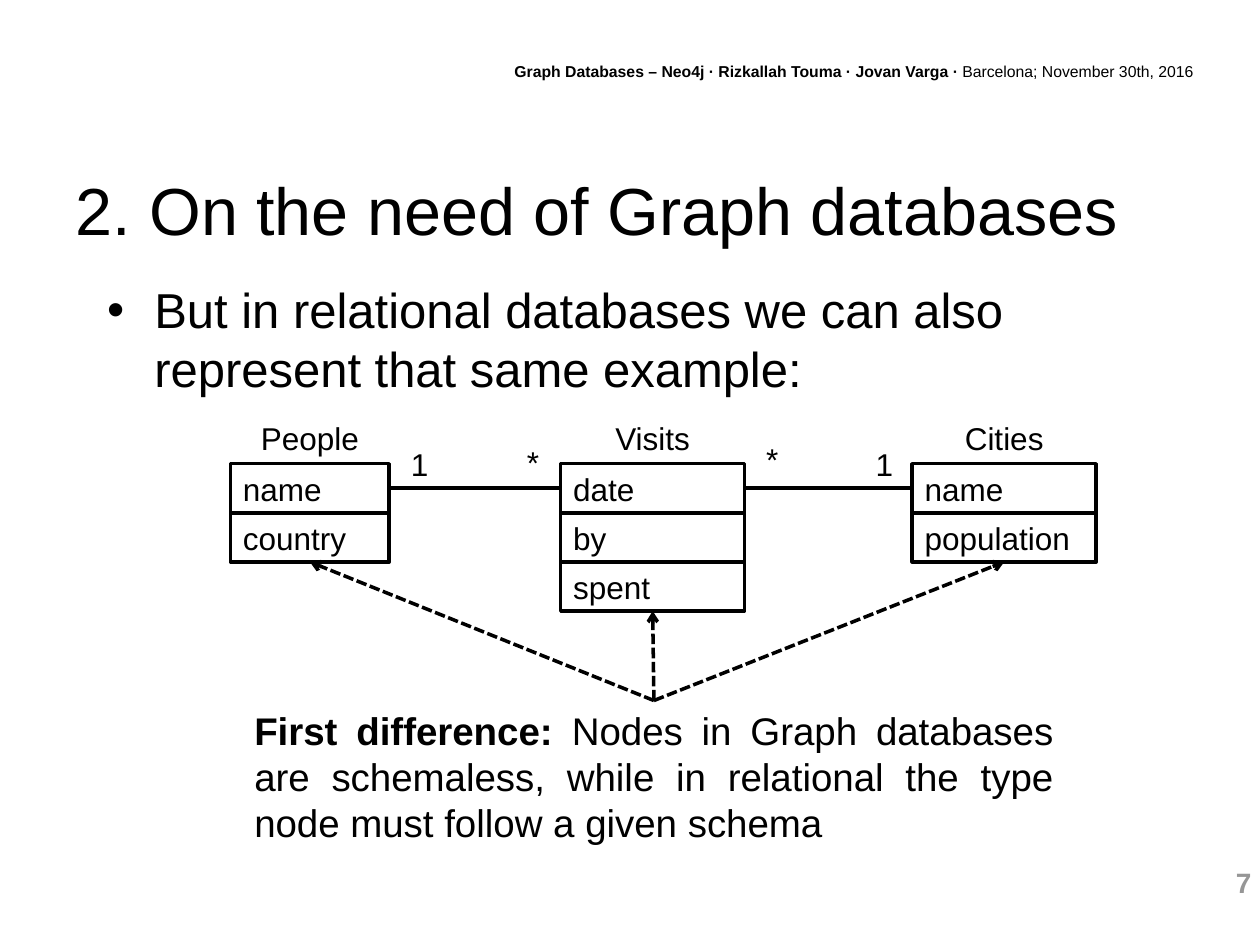
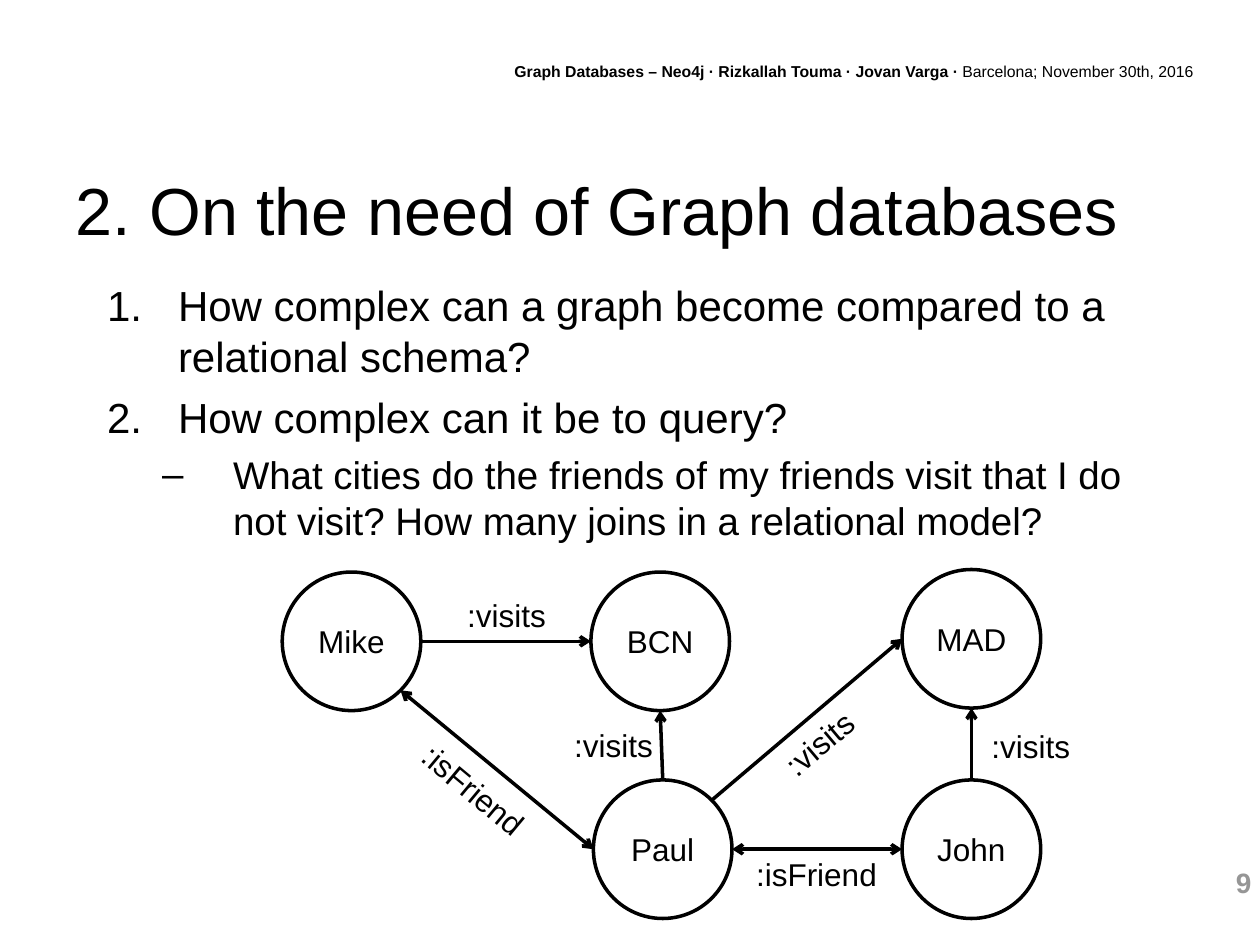
from dataclasses import dataclass
from math import cos, radians, sin

from lxml.etree import SubElement
from pptx import Presentation
from pptx.dml.color import RGBColor
from pptx.enum.dml import MSO_LINE
from pptx.enum.shapes import MSO_CONNECTOR as Connector, MSO_SHAPE as Preset
from pptx.enum.text import MSO_ANCHOR as Anchor, MSO_AUTO_SIZE as AutoSize, PP_ALIGN as Align
from pptx.oxml.ns import qn
from pptx.util import Inches, Pt

COLUMNS, ROWS = 100, 75
DECK_TITLE = "2. On the need of Graph databases"
HEADER = ("Graph Databases – Neo4j · Rizkallah Touma · Jovan Varga · ",
          "Barcelona; November 30th, 2016")


@dataclass(frozen=True)
class Theme:
    font: str = "Arial"
    ink: RGBColor = RGBColor(0, 0, 0)
    paper: RGBColor = RGBColor(255, 255, 255)
    muted: RGBColor = RGBColor(0x96, 0x96, 0x96)
    title: int = 38
    lead: int = 28
    item: int = 24
    note: int = 22
    label: int = 18
    number: int = 16
    header: int = 9
    line: int = 2


@dataclass(frozen=True)
class ListItem:
    text: str
    size: int
    marker: str
    indent: float
    hanging: float
    level: int = 0
    space_before: float = 0


@dataclass(frozen=True)
class Node:
    """A circle, placed by its centre in columns and rows."""
    name: str
    x: float
    y: float
    radius: float = 5.5

    def point(self, angle):
        """Point on the rim, with angles in degrees clockwise from the right."""
        turn = radians(angle)
        return self.x + self.radius * cos(turn), self.y + self.radius * sin(turn)


class Deck:
    def __init__(self, theme):
        self.theme = theme
        self.presentation = Presentation()
        self.presentation.slide_width = Inches(10)
        self.presentation.slide_height = Inches(7.5)
        self.slide = None

    def across(self, columns):
        return round(self.presentation.slide_width * columns / COLUMNS)

    def down(self, rows):
        return round(self.presentation.slide_height * rows / ROWS)

    def box(self, left, top, width, height):
        return self.across(left), self.down(top), self.across(width), self.down(height)

    def style_font(self, font, size, bold=False, color=None):
        font.name = self.theme.font
        font.size = Pt(size)
        font.bold = bold
        font.color.rgb = color or self.theme.ink

    def fill_paragraph(self, paragraph, text, size, align=Align.LEFT, bold=False, color=None):
        paragraph.text = text
        paragraph.alignment = align
        for run in paragraph.runs:
            self.style_font(run.font, size, bold, color)

    def start_slide(self, number):
        self.slide = self.presentation.slides.add_slide(self.presentation.slide_layouts[1])
        self.text(str(number), (87.6, 68.2, 12.7, 3.7), self.theme.number,
                  Align.RIGHT, bold=True, color=self.theme.muted)
        bold_part, plain_part = HEADER
        self.text(bold_part, (38.2, 4.4, 57.5, 2.5), self.theme.header,
                  Align.RIGHT, bold=True, plain=plain_part)
        frame = self.place(self.slide.shapes.title, (5, 12.3, 90, 8.6), Anchor.MIDDLE)
        self.fill_paragraph(frame.paragraphs[0], DECK_TITLE, self.theme.title)

    def place(self, placeholder, area, anchor):
        placeholder.left, placeholder.top, placeholder.width, placeholder.height = self.box(*area)
        frame = placeholder.text_frame
        frame.auto_size = AutoSize.NONE
        frame.word_wrap = True
        frame.vertical_anchor = anchor
        return frame

    def bullets(self, items, height):
        frame = self.place(self.slide.placeholders[1], (7.5, 21.7, 87.5, height), Anchor.TOP)
        for position, item in enumerate(items):
            paragraph = frame.paragraphs[0] if position == 0 else frame.add_paragraph()
            paragraph.level = item.level
            self.mark(paragraph, item)
            paragraph.space_before = Pt(item.space_before)
            self.fill_paragraph(paragraph, item.text, item.size)

    def mark(self, paragraph, item):
        """Give a paragraph its indents and its bullet or number."""
        properties = paragraph._p.get_or_add_pPr()
        properties.set("marL", str(self.across(item.indent)))
        properties.set("indent", str(-self.across(item.hanging)))
        color = SubElement(properties, qn("a:buClr"))
        SubElement(color, qn("a:srgbClr"), val=str(self.theme.ink))
        SubElement(properties, qn("a:buFont"), typeface=self.theme.font)
        if item.marker == "1.":
            SubElement(properties, qn("a:buAutoNum"), type="arabicPeriod")
        else:
            SubElement(properties, qn("a:buChar"), char=item.marker)

    def text(self, text, area, size, align=Align.CENTER, bold=False, color=None,
             plain="", rotation=0):
        """Add a text box; plain is a regular run after the main text."""
        shape = self.slide.shapes.add_textbox(*self.box(*area))
        shape.rotation = rotation
        shape.text_frame.word_wrap = True
        paragraph = shape.text_frame.paragraphs[0]
        self.fill_paragraph(paragraph, text, size, align, bold, color)
        if plain:
            run = paragraph.add_run()
            run.text = plain
            self.style_font(run.font, size, color=color)
        return shape

    def label(self, text, left, top, width=13.2, rotation=0):
        self.text(text, (left, top, width, 4), self.theme.label, rotation=rotation)

    def outlined(self, preset, text, area, align, anchor):
        shape = self.slide.shapes.add_shape(preset, *self.box(*area))
        shape.shadow.inherit = False
        shape.fill.solid()
        shape.fill.fore_color.rgb = self.theme.paper
        shape.line.color.rgb = self.theme.ink
        shape.line.width = Pt(self.theme.line)
        shape.text_frame.word_wrap = True
        shape.text_frame.vertical_anchor = anchor
        self.fill_paragraph(shape.text_frame.paragraphs[0], text, self.theme.label, align)
        return shape

    def entity(self, name, fields, left, width):
        """Draw a named relation and return its field rectangles."""
        top, row_height = 36.8, 3.9
        self.label(name, left, top - 4, width)
        return [self.outlined(Preset.RECTANGLE, field,
                              (left, top + index * row_height, width, row_height),
                              Align.LEFT, Anchor.TOP)
                for index, field in enumerate(fields)]

    def node(self, node):
        diameter = 2 * node.radius
        self.outlined(Preset.OVAL, node.name,
                      (node.x - node.radius, node.y - node.radius, diameter, diameter),
                      Align.CENTER, Anchor.MIDDLE)

    def line(self, start=(0, 0), end=(0, 0), arrows=(), dashed=False):
        """Add a straight line; arrows names the ends ("head", "tail") with a tip."""
        connector = self.slide.shapes.add_connector(
            Connector.STRAIGHT, self.across(start[0]), self.down(start[1]),
            self.across(end[0]), self.down(end[1]))
        connector.line.color.rgb = self.theme.ink
        connector.line.width = Pt(self.theme.line)
        if dashed:
            connector.line.dash_style = MSO_LINE.SQUARE_DOT
        properties = connector._element.spPr
        for end_name in arrows:
            SubElement(properties.find(qn("a:ln")), qn(f"a:{end_name}End"), type="arrow")
        SubElement(properties, qn("a:effectLst"))
        return connector

    def join(self, first, first_side, second, second_side, **style):
        connector = self.line(**style)
        connector.begin_connect(first, first_side)
        connector.end_connect(second, second_side)


def add_relational_slide(deck):
    theme = deck.theme
    deck.start_slide(7)
    deck.bullets([ListItem("But in relational databases we can also represent that same example:",
                           theme.lead, "•", 3.75, 3.75)], 11)

    people = deck.entity("People", ["name", "country"], 18.3, 12.6)
    cities = deck.entity("Cities", ["name", "population"], 72.4, 14.6)
    visits = deck.entity("Visits", ["date", "by", "spent"], 44.5, 14.6)
    deck.join(people[0], 3, visits[0], 1)
    deck.join(visits[0], 3, cities[0], 1)
    for cardinality, left, top in [("1", 31.1, 34.8), ("1", 68, 34.8),
                                   ("*", 40.1, 34.7), ("*", 59.1, 34.4)]:
        deck.label(cardinality, left, top, 4.4)

    difference = deck.text(
        "First difference:", (19.2, 55.6, 65.4, 12), theme.note, Align.JUSTIFY, bold=True,
        plain=" Nodes in Graph databases are schemaless, while in relational "
              "the type node must follow a given schema")
    for fields in (people, visits, cities):
        deck.join(difference, 0, fields[-1], 2, arrows=("tail",), dashed=True)


def add_graph_slide(deck):
    theme = deck.theme
    deck.start_slide(9)
    deck.bullets([
        ListItem("How complex can a graph become compared to a relational schema?",
                 theme.item, "1.", 5.63, 5.63),
        ListItem("How complex can it be to query?",
                 theme.item, "1.", 5.63, 5.63, space_before=6),
        ListItem("What cities do the friends of my friends visit that I do not visit? "
                 "How many joins in a relational model?",
                 theme.note, "–", 10, 5.63, level=1, space_before=5.5),
    ], 22.1)

    mike, bcn, mad = Node("Mike", 27.9, 50.9), Node("BCN", 52.4, 50.9), Node("MAD", 77.1, 50.7)
    paul, john = Node("Paul", 52.6, 67.4), Node("John", 77.1, 67.4)
    for node in (mike, bcn, mad, paul, john):
        deck.node(node)

    right, lower_right, bottom, left, top, upper_right = 0, 45, 90, 180, 270, 315
    one_way, both_ways = ("tail",), ("head", "tail")
    for source, leaving, target, entering, arrows in [
        (mike, right, bcn, left, one_way),
        (paul, top, bcn, bottom, one_way),
        (mike, lower_right, paul, left, both_ways),
        (paul, upper_right, mad, left, one_way),
        (paul, right, john, left, both_ways),
        (john, top, mad, bottom, one_way),
    ]:
        deck.line(source.point(leaving), target.point(entering), arrows)

    for relation, x, y, rotation in [
        (":visits", 33.6, 46.8, 0),
        (":visits", 42.1, 57.1, 0),
        (":isFriend", 31, 60.7, 39.8),
        (":visits", 58.4, 57, 320),
        (":isFriend", 58.2, 67.4, 0),
        (":visits", 75.2, 57.2, 0),
    ]:
        deck.label(relation, x, y, rotation=rotation)


def main():
    deck = Deck(Theme())
    add_relational_slide(deck)
    add_graph_slide(deck)
    deck.presentation.save("out.pptx")


if __name__ == "__main__":
    main()
